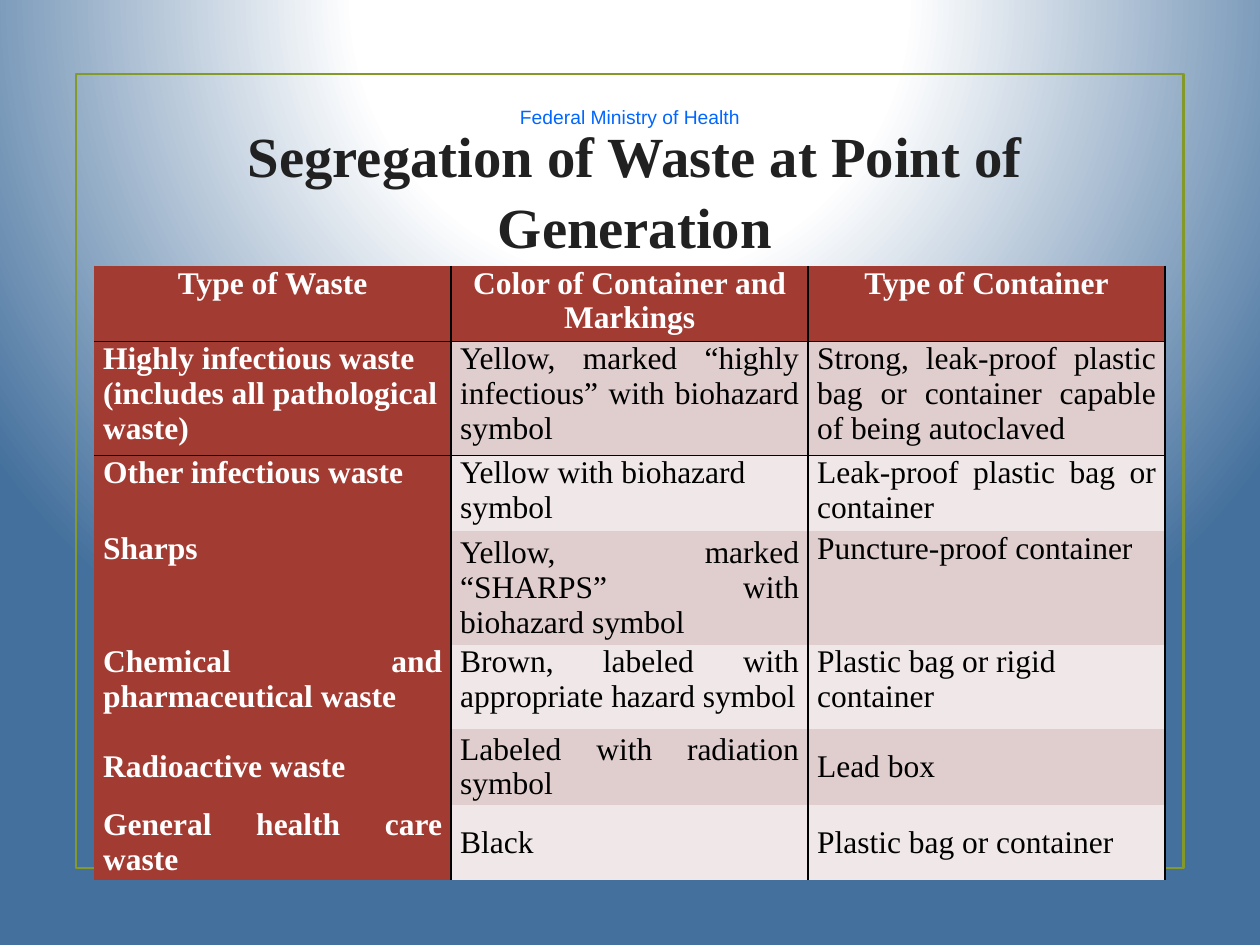
from dataclasses import dataclass
from typing import Any

from lxml.etree import SubElement
from pptx import Presentation
from pptx.dml.color import RGBColor
from pptx.enum.shapes import MSO_SHAPE
from pptx.enum.text import MSO_ANCHOR, MSO_AUTO_SIZE, PP_ALIGN
from pptx.oxml import parse_xml
from pptx.oxml.ns import nsdecls, qn
from pptx.util import Cm, Pt

WHITE = RGBColor(0xFF, 0xFF, 0xFF)
BLACK = RGBColor(0x00, 0x00, 0x00)
STEEL_BLUE = RGBColor(0x44, 0x70, 0x9D)
OLIVE = RGBColor(0x83, 0x99, 0x2A)
LINK_BLUE = RGBColor(0x00, 0x66, 0xFF)
CHARCOAL = RGBColor(0x21, 0x21, 0x21)
BRICK = RGBColor(0xA2, 0x3C, 0x33)
ROSE = RGBColor(0xE0, 0xCE, 0xCE)
PALE_ROSE = RGBColor(0xF0, 0xE8, 0xE8)

PLAIN_STYLE = "{2D5ABB26-0587-4C30-8999-92F81FD0307C}"
LEFT, CENTER, JUSTIFY = PP_ALIGN.LEFT, PP_ALIGN.CENTER, PP_ALIGN.JUSTIFY
TOP, MIDDLE = MSO_ANCHOR.TOP, MSO_ANCHOR.MIDDLE


@dataclass(frozen=True)
class Entry:
    text: str
    alignment: PP_ALIGN = JUSTIFY
    anchor: MSO_ANCHOR = TOP
    before: float = 2
    after: float = 0


@dataclass(frozen=True)
class WasteRow:
    height: float
    entries: tuple[Entry, ...]


def heading(text: str) -> Entry:
    return Entry(text, CENTER, before=0, after=3)


ROWS = (
    WasteRow(1.5, (
        heading("Type of Waste"),
        heading("Color of Container and Markings"),
        heading("Type of Container"),
    )),
    WasteRow(2.3, (
        Entry("Highly infectious waste (includes all pathological waste)", LEFT),
        Entry("Yellow, marked “highly infectious” with biohazard symbol"),
        Entry("Strong, leak-proof plastic bag or container capable of being autoclaved", before=0, after=3),
    )),
    WasteRow(1.48, (
        Entry("Other infectious waste"),
        Entry("Yellow with biohazard symbol", LEFT),
        Entry("Leak-proof plastic bag or container", before=0, after=3),
    )),
    WasteRow(1.7, (
        Entry("Sharps"),
        Entry("Yellow, marked “SHARPS” with biohazard symbol", anchor=MIDDLE),
        Entry("Puncture-proof container", LEFT),
    )),
    WasteRow(1.7, (
        Entry("Chemical and pharmaceutical waste"),
        Entry("Brown, labeled with appropriate hazard symbol"),
        Entry("Plastic bag or rigid container", LEFT),
    )),
    WasteRow(0.97, (
        Entry("Radioactive waste", anchor=MIDDLE),
        Entry("Labeled with radiation symbol", anchor=MIDDLE),
        Entry("Lead box", anchor=MIDDLE),
    )),
    WasteRow(0.97, (
        Entry("General health care waste", anchor=MIDDLE),
        Entry("Black", anchor=MIDDLE),
        Entry("Plastic bag or container", anchor=MIDDLE),
    )),
)


def apply_format(target: Any, values: dict[str, Any]) -> None:
    for name, value in values.items():
        setattr(target, name, value)


def write_text(frame: Any, text: str, color: RGBColor,
               font: dict[str, Any], paragraph_format: dict[str, Any]) -> None:
    paragraph = frame.paragraphs[0]
    apply_format(paragraph, paragraph_format)
    run = paragraph.add_run()
    run.text = text
    apply_format(run.font, font)
    run.font.color.rgb = color


def paint_background(slide: Any) -> None:
    fill = slide.background.fill
    fill.gradient()
    gradient = slide.element.find(".//" + qn("a:gradFill"))
    for child in list(gradient):
        gradient.remove(child)
    stops = SubElement(gradient, qn("a:gsLst"))
    for position, color in ((0, WHITE), (35, WHITE), (100, STEEL_BLUE)):
        stop = SubElement(stops, qn("a:gs"), pos=str(position * 1000))
        SubElement(stop, qn("a:srgbClr"), val=str(color))
    circle = SubElement(gradient, qn("a:path"), path="circle")
    SubElement(circle, qn("a:fillToRect"), l="50000", t="-80000", r="50000", b="180000")


def add_frame(slide: Any) -> None:
    shape = slide.shapes.add_shape(MSO_SHAPE.RECTANGLE, Cm(1.54), Cm(1.5), Cm(22.32), Cm(16))
    shape.shadow.inherit = False
    shape.fill.background()
    shape.line.color.rgb = OLIVE
    shape.line.width = Pt(1.25)


def add_ministry(slide: Any) -> None:
    frame = slide.shapes.add_textbox(Cm(9.36), Cm(1.93), Cm(6.68), Cm(1.7)).text_frame
    frame.word_wrap = True
    write_text(frame, "Federal Ministry of Health", LINK_BLUE,
               {"name": "Arial", "size": Pt(11)},
               {"alignment": CENTER, "line_spacing": 1.15, "space_after": Pt(10)})


def fill_title(slide: Any) -> None:
    title = slide.shapes.title
    apply_format(title, {"left": Cm(1.9), "top": Cm(2.75), "width": Cm(21.8), "height": Cm(2.1)})
    apply_format(title.text_frame, {"word_wrap": True, "auto_size": MSO_AUTO_SIZE.NONE,
                                    "vertical_anchor": MIDDLE})
    write_text(title.text_frame, "Segregation of Waste at Point of Generation", CHARCOAL,
               {"name": "Times New Roman", "size": Pt(32.4), "bold": True},
               {"alignment": CENTER, "line_spacing": 1.05})


def add_borders(cell: Any, row: int, column: int) -> None:
    sides = {"lnL": column == 1, "lnR": column in (0, 2), "lnT": row == 1, "lnB": row == 0}
    properties = cell._tc.get_or_add_tcPr()
    for side, shown in sides.items():
        if shown:
            properties.append(parse_xml(
                f'<a:{side} {nsdecls("a")} w="12700"><a:solidFill>'
                f'<a:srgbClr val="{BLACK}"/></a:solidFill></a:{side}>'))


def fill_cell(cell: Any, entry: Entry, row: int, column: int) -> None:
    is_header = row == 0 or column == 0
    add_borders(cell, row, column)
    cell.fill.solid()
    cell.fill.fore_color.rgb = BRICK if is_header else (ROSE if row % 2 else PALE_ROSE)
    apply_format(cell, {"margin_left": Cm(0.18), "margin_right": Cm(0.18), "margin_top": 0,
                        "margin_bottom": 0, "vertical_anchor": entry.anchor})
    write_text(cell.text_frame, entry.text, WHITE if is_header else BLACK,
               {"name": "Times New Roman", "size": Pt(18), "bold": is_header},
               {"alignment": entry.alignment, "space_before": Pt(entry.before),
                "space_after": Pt(entry.after)})


def add_waste_table(slide: Any) -> None:
    height = sum(row.height for row in ROWS)
    graphic = slide.shapes.add_table(len(ROWS), 3, Cm(1.9), Cm(5.36), Cm(21.59), Cm(height))
    graphic.element.find(".//" + qn("a:tableStyleId")).text = PLAIN_STYLE
    table = graphic.table
    for row, waste in enumerate(ROWS):
        table.rows[row].height = Cm(waste.height)
        for column, entry in enumerate(waste.entries):
            fill_cell(table.cell(row, column), entry, row, column)


def main() -> None:
    presentation = Presentation()
    presentation.slide_width = Cm(25.4)
    presentation.slide_height = Cm(19.05)
    slide = presentation.slides.add_slide(presentation.slide_layouts[5])
    paint_background(slide)
    add_frame(slide)
    add_ministry(slide)
    fill_title(slide)
    add_waste_table(slide)
    presentation.save("out.pptx")


if __name__ == "__main__":
    main()
